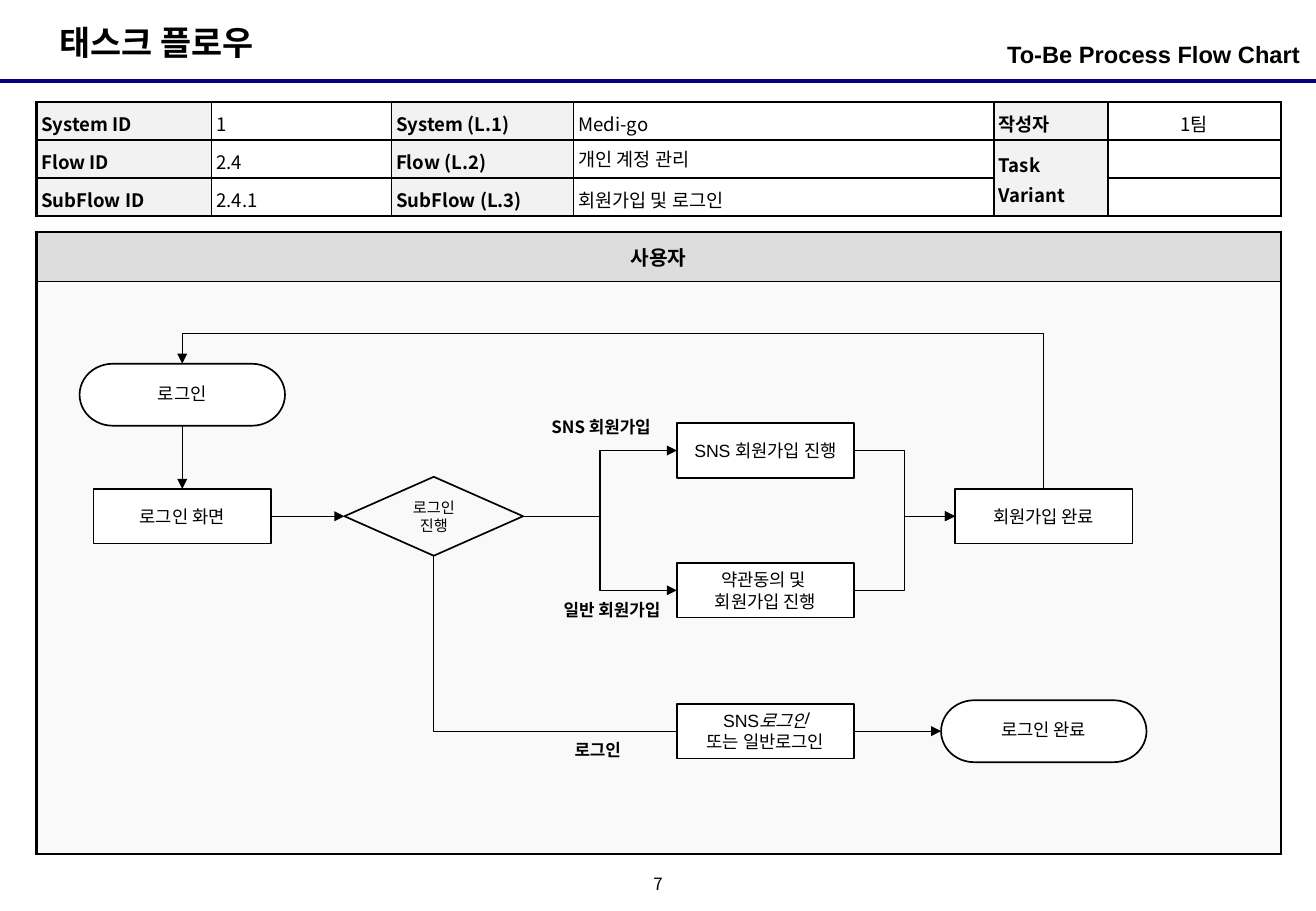
import collections

import lxml.etree
import pptx
import pptx.dml.color
import pptx.enum.dml
import pptx.enum.shapes
import pptx.enum.text
import pptx.oxml.ns
import pptx.util

Box = collections.namedtuple("Box", "left top width height")
COLORS = {"ink": "000000", "rule": "000080", "paper": "FFFFFF",
          "label": "F2F2F2", "lane": "DDDDDD", "canvas": "F9F9F9"}
KOREAN, LATIN = "Noto Sans CJK KR", "Arial"
SLIDE = Box(0, 0, 10.83, 7.5)
TOP, LEFT, BOTTOM, RIGHT = range(4)
ALIGN = pptx.enum.text.PP_ALIGN
MIDDLE = pptx.enum.text.MSO_ANCHOR.MIDDLE
SHAPE = pptx.enum.shapes.MSO_SHAPE
CONNECTOR = pptx.enum.shapes.MSO_CONNECTOR

FLOW_COLUMNS = {"entry": 1.2, "choice": 3.27, "action": 6, "result": 8.29}
FLOW_ROWS = {"start": 0.93, "sns": 1.39, "main": 1.93, "general": 2.54, "login": 3.7}
STEP_SIZES = {SHAPE.RECTANGLE: (1.46, 0.45), SHAPE.FLOWCHART_TERMINATOR: (1.69, 0.51),
              SHAPE.FLOWCHART_DECISION: (1.47, 0.65)}
STEPS = {
    "login": ("entry", "start", SHAPE.FLOWCHART_TERMINATOR, ["로그인"]),
    "screen": ("entry", "main", SHAPE.RECTANGLE, ["로그인 화면"]),
    "choice": ("choice", "main", SHAPE.FLOWCHART_DECISION, ["로그인", "진행"]),
    "sns": ("action", "sns", SHAPE.RECTANGLE, ["SNS 회원가입 진행"]),
    "general": ("action", "general", SHAPE.RECTANGLE, ["약관동의 및 ", "회원가입 진행"]),
    "joined": ("result", "main", SHAPE.RECTANGLE, ["회원가입 완료"]),
    "done": ("result", "login", SHAPE.FLOWCHART_TERMINATOR, ["로그인 완료"]),
    "either": ("action", "login", SHAPE.RECTANGLE, ["SNS|로그인", "또는 일반로그인"]),
}
BRANCH_LABELS = [("SNS 회원가입", Box(4.14, 1.06, 1.17, 0.27), ALIGN.LEFT),
                 ("일반 회원가입", Box(4.19, 2.57, 1.09, 0.27), ALIGN.CENTER),
                 ("로그인", Box(4.33, 3.72, 1.26, 0.27), ALIGN.LEFT)]
INFO_COLUMNS = [1.44, 1.48, 1.5, 3.46, 0.94, 1.42]
INFO_ROWS = [["System ID", "1", "System (L.1)", "Medi-go", "작성자", "1팀"],
             ["Flow ID", "2.4", "Flow (L.2)", "개인 계정 관리", "Task Variant", ""],
             ["SubFlow ID", "2.4.1", "SubFlow (L.3)", "회원가입 및 로그인", "", ""]]


def color(name):
    """Return the named colour."""
    return pptx.dml.color.RGBColor.from_string(COLORS[name])


def inches(values):
    """Turn numbers into lengths."""
    return [pptx.util.Inches(value) for value in values]


def add_element(parent, tag, **attributes):
    """Append a drawing element to a parent."""
    return lxml.etree.SubElement(parent, pptx.oxml.ns.qn(tag), attributes)


def add_run(paragraph, text, size, font=KOREAN, bold=False, italic=False):
    """Add one run of black text."""
    run = paragraph.add_run()
    run.text = text
    run.font.size = pptx.util.Pt(size)
    run.font.bold, run.font.italic = bold, italic
    run.font.color.rgb = color("ink")
    run.font.name = font
    add_element(run.font._element, "a:ea", typeface=KOREAN)


def set_margins(holder, horizontal, vertical):
    """Set the insets of a text frame or cell."""
    holder.margin_left = holder.margin_right = pptx.util.Inches(horizontal)
    holder.margin_top = holder.margin_bottom = pptx.util.Inches(vertical)


def add_label(slide, box, text, size, align=ALIGN.LEFT, font=KOREAN, bold=True,
              margins=(0.1, 0.05), wrap=True):
    """Place a one-line text in a box and return its frame."""
    frame = slide.shapes.add_textbox(*inches(box)).text_frame
    frame.word_wrap = wrap
    set_margins(frame, *margins)
    frame.paragraphs[0].alignment = align
    add_run(frame.paragraphs[0], text, size, font, bold)
    return frame


def add_line(slide, kind, start, end, weight=0.75, ink="ink"):
    """Draw a flat connector between two points."""
    line = slide.shapes.add_connector(kind, *inches(start + end))
    line.line.width = pptx.util.Pt(weight)
    line.line.color.rgb = color(ink)
    add_element(line._element.spPr, "a:effectLst")
    return line


def add_grid(slide, box, widths, heights, inner):
    """Add a plain table with a heavy frame and thinner inner lines."""
    table = slide.shapes.add_table(len(heights), len(widths), *inches(box)).table
    table.first_row = table.horz_banding = False
    for column, width in zip(table.columns, inches(widths)):
        column.width = width
    for row, height in zip(table.rows, inches(heights)):
        row.height = height
    for r in range(len(heights)):
        for c in range(len(widths)):
            outer = {"a:lnL": c == 0, "a:lnR": c == len(widths) - 1,
                     "a:lnT": r == 0, "a:lnB": r == len(heights) - 1}
            properties = table.cell(r, c)._tc.get_or_add_tcPr()
            for tag, heavy in outer.items():
                weight = pptx.util.Pt(1.5 if heavy else inner)
                edge = add_element(properties, tag, w=str(weight))
                add_element(add_element(edge, "a:solidFill"), "a:srgbClr", val=COLORS["ink"])
    return table


def fill_cell(cell, name):
    """Fill a cell with a named colour."""
    cell.fill.solid()
    cell.fill.fore_color.rgb = color(name)


def build_header(slide, box):
    """Build the title, the chart name and the rule below them."""
    add_label(slide, Box(box.left + 0.39, box.top + 0.13, 1.98, 0.44), "태스크 플로우", 20, wrap=False)
    name = add_label(slide, Box(box.left + 7.39, box.top + 0.28, 3.31, 0.39),
                     "To-Be Process Flow Chart", 14, ALIGN.RIGHT, LATIN, margins=(0, 0.05))
    name.paragraphs[0].space_before = pptx.util.Pt(2.8)
    bottom = box.top + box.height
    add_line(slide, CONNECTOR.STRAIGHT, (box.left, bottom), (box.left + box.width, bottom), 2.25, "rule")


def build_info(slide, box):
    """Build the table that identifies the flow."""
    table = add_grid(slide, box, INFO_COLUMNS, [box.height / 3] * 3, 1)
    for r, texts in enumerate(INFO_ROWS):
        for c, text in enumerate(texts):
            cell, is_label = table.cell(r, c), c % 2 == 0
            fill_cell(cell, "label" if is_label else "paper")
            set_margins(cell, 0.04, 0.04)
            paragraph = cell.text_frame.paragraphs[0]
            if c >= 4:
                cell.vertical_anchor = MIDDLE
            if c == 5:
                paragraph.alignment = ALIGN.CENTER
            if (r, c) != (1, 3):
                paragraph.line_spacing = 1.1
                paragraph.space_before = paragraph.space_after = pptx.util.Pt(1.1)
            if text:
                add_run(paragraph, text, 11, bold=is_label)
            else:
                add_element(paragraph._p, "a:endParaRPr", sz="1100")
    table.cell(1, 4).merge(table.cell(2, 4))


def build_lane(slide, box, heading):
    """Build the titled lane that holds the flow."""
    table = add_grid(slide, box, [box.width], [heading, box.height - heading], 0.75)
    title, canvas = table.cell(0, 0), table.cell(1, 0)
    fill_cell(title, "lane")
    fill_cell(canvas, "canvas")
    title.vertical_anchor = MIDDLE
    title.text_frame.paragraphs[0].alignment = ALIGN.CENTER
    add_run(title.text_frame.paragraphs[0], "사용자", 12, bold=True)


def add_step(slide, box, column, row, kind, lines):
    """Place one step centred on its column and row."""
    width, height = STEP_SIZES[kind]
    step = slide.shapes.add_shape(kind, *inches((
        box.left + FLOW_COLUMNS[column] - width / 2,
        box.top + FLOW_ROWS[row] - height / 2, width, height)))
    step.shadow.inherit = False
    step.line.color.rgb = color("ink")
    step.line.width = pptx.util.Pt(1)
    decision = kind == SHAPE.FLOWCHART_DECISION
    if decision:
        step.fill.background()
    else:
        step.fill.solid()
        step.fill.fore_color.rgb = color("paper")
    frame = step.text_frame
    frame.word_wrap = not decision
    frame.vertical_anchor = MIDDLE
    set_margins(frame, *((0.04, 0.04) if decision else (0.02, 0)))
    for index, line in enumerate(lines):
        paragraph = frame.add_paragraph() if index else frame.paragraphs[0]
        paragraph.alignment = ALIGN.CENTER
        if kind == SHAPE.FLOWCHART_TERMINATOR:
            paragraph.line_spacing = 0.9
        for part, text in enumerate(line.split("|")):
            add_run(paragraph, text, 9 if decision else 10.5, LATIN, italic=part > 0)
    return step


def join(slide, source, source_side, target, target_side, kind=CONNECTOR.ELBOW, arrow="a:tailEnd"):
    """Join two steps with an arrow."""
    link = add_line(slide, kind, (0, 0), (1, 1))
    link.begin_connect(source, source_side)
    link.end_connect(target, target_side)
    add_element(link.line._get_or_add_ln(), arrow, type="triangle")
    return link


def bend(link, preset, **adjustments):
    """Give a connector another bend."""
    geometry = link._element.spPr.find(pptx.oxml.ns.qn("a:prstGeom"))
    geometry.set("prst", preset)
    guides = geometry.find(pptx.oxml.ns.qn("a:avLst"))
    for name, value in adjustments.items():
        add_element(guides, "a:gd", name=name, fmla=f"val {value}")


def build_flow(slide, box):
    """Build the steps, arrows and branch labels of the flow."""
    steps = {key: add_step(slide, box, *step) for key, step in STEPS.items() if key != "either"}
    join(slide, steps["login"], BOTTOM, steps["screen"], TOP, CONNECTOR.STRAIGHT)
    join(slide, steps["screen"], RIGHT, steps["choice"], LEFT, CONNECTOR.STRAIGHT)
    for branch in ("sns", "general"):
        join(slide, steps["choice"], RIGHT, steps[branch], LEFT)
        join(slide, steps[branch], RIGHT, steps["joined"], LEFT)
    bend(join(slide, steps["done"], LEFT, steps["choice"], BOTTOM, arrow="a:headEnd"), "bentConnector2")
    bend(join(slide, steps["joined"], TOP, steps["login"], TOP), "bentConnector4", adj1=0, adj2=124400)
    add_step(slide, box, *STEPS["either"])
    for text, place, align in BRANCH_LABELS:
        add_label(slide, Box(box.left + place.left, box.top + place.top, *place[2:]), text, 10, align)


def main():
    """Build and save the slide."""
    deck = pptx.Presentation()
    deck.slide_width, deck.slide_height = inches(SLIDE[2:])
    slide = deck.slides.add_slide(deck.slide_layouts[6])
    build_header(slide, Box(0, 0, SLIDE.width, 0.67))
    build_lane(slide, Box(0.3, 1.91, 10.24, 5.12), 0.41)
    build_info(slide, Box(0.3, 0.84, 10.24, 0.94))
    build_flow(slide, Box(0.3, 2.32, 10.24, 4.71))
    number = add_label(slide, Box(5.25, 7.17, 0.33, 0.25), "7", 10, ALIGN.CENTER,
                       bold=False, margins=(0, 0), wrap=False)
    number.vertical_anchor = MIDDLE
    number.paragraphs[0].line_spacing = 0.8
    deck.save("out.pptx")


if __name__ == "__main__":
    main()
